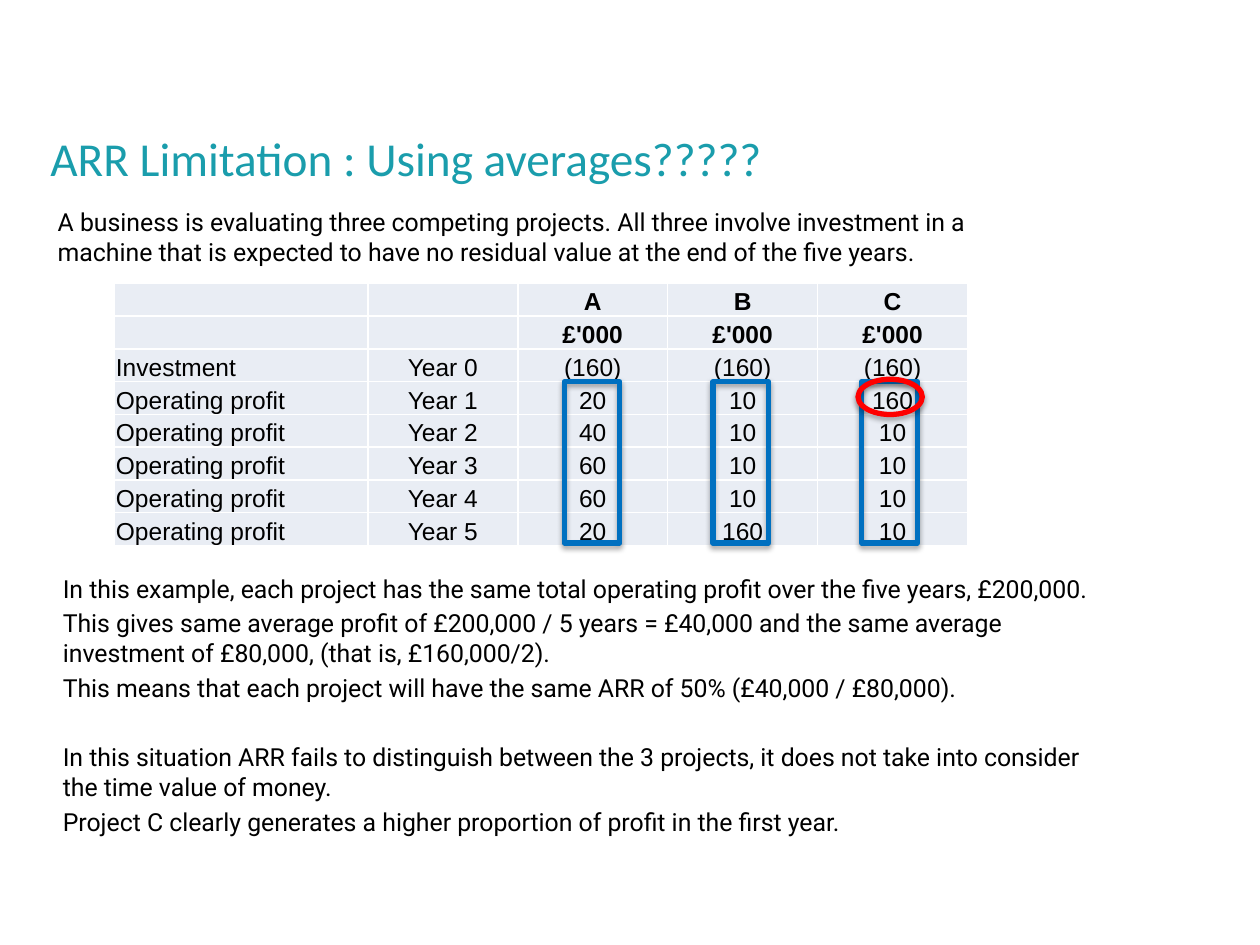
from dataclasses import dataclass

from lxml.etree import SubElement
from pptx import Presentation
from pptx.dml.color import RGBColor
from pptx.enum.shapes import MSO_SHAPE
from pptx.enum.text import MSO_ANCHOR, PP_ALIGN
from pptx.oxml.ns import qn
from pptx.slide import Slide
from pptx.util import Inches, Pt

COLORS = {
    "title": "1A9DAC",
    "text": "000000",
    "cell": "E9EDF4",
    "border": "FFFFFF",
    "frame": "0070C0",
    "highlight": "FF0000",
}

TABLE_LEFT, TABLE_TOP = 0.91, 2.25
LABEL_WIDTH, COLUMN_WIDTH, ROW_HEIGHT = 2.01, 1.19, 0.26
HEADER_ROWS = 2
PROFIT_ROW = 3
FRAME_LEFT, FRAME_PITCH = 4.48, 1.18
FRAME_WIDTH, FRAME_HEIGHT = 0.44, 1.28

PROFITS = [(20, 10, 160), (40, 10, 10), (60, 10, 10), (60, 10, 10), (20, 160, 10)]
TABLE_ROWS = [
    ("", "", "A", "B", "C"),
    ("", "", "£'000", "£'000", "£'000"),
    ("Investment", "Year 0", "(160)", "(160)", "(160)"),
    *(("Operating profit", f"Year {year}", *map(str, values))
      for year, values in enumerate(PROFITS, start=1)),
]


@dataclass(frozen=True)
class Box:
    left: float
    top: float
    width: float
    height: float

    def lengths(self) -> tuple:
        return tuple(Inches(n) for n in (self.left, self.top, self.width, self.height))


@dataclass(frozen=True)
class Line:
    text: str
    space_before: float = 0


INTRODUCTION = [
    Line("A business is evaluating three competing projects. All three involve investment in a "
         "machine that is expected to have no residual value at the end of the five years."),
]
EXPLANATION = [
    Line("In this example, each project has the same total operating profit over the five years, "
         "£200,000."),
    Line("This gives same average profit of £200,000 / 5 years = £40,000 and the same average "
         "investment of £80,000, (that is, £160,000/2).", 2.8),
    Line("This means that each project will have the same ARR of 50% (£40,000 / £80,000).", 2.8),
    Line("In this situation ARR fails to distinguish between the 3 projects, it does not take "
         "into consider the time value of money.", 22.8),
    Line("Project C clearly generates a higher proportion of profit in the first year.", 2.8),
]


def color(name: str) -> RGBColor:
    return RGBColor.from_string(COLORS[name])


def format_runs(paragraph, font_name: str, size: float, color_name: str, bold=False) -> None:
    for run in paragraph.runs:
        run.font.name = font_name
        run.font.size = Pt(size)
        run.font.bold = bold
        run.font.color.rgb = color(color_name)


def set_title(slide: Slide, text: str, box: Box) -> None:
    title = slide.shapes.title
    title.left, title.top, title.width, title.height = box.lengths()
    frame = title.text_frame
    frame.text = text
    frame.vertical_anchor = MSO_ANCHOR.TOP
    frame.margin_left = frame.margin_right = frame.margin_top = frame.margin_bottom = 0
    paragraph = frame.paragraphs[0]
    paragraph.alignment = PP_ALIGN.LEFT
    paragraph.line_spacing = Pt(37.7)
    format_runs(paragraph, "Calibri", 27, "title")


def add_text(slide: Slide, lines: list[Line], box: Box) -> None:
    frame = slide.shapes.add_textbox(*box.lengths()).text_frame
    frame.word_wrap = True
    frame.text = "\n".join(line.text for line in lines)
    for paragraph, line in zip(frame.paragraphs, lines):
        paragraph.space_before = Pt(line.space_before)
        format_runs(paragraph, "Roboto", 14.2, "text")


def add_borders(cell) -> None:
    properties = cell._tc.get_or_add_tcPr()
    for side in ("lnL", "lnR", "lnT", "lnB"):
        line = SubElement(properties, qn(f"a:{side}"), w=str(Pt(1)))
        fill = SubElement(line, qn("a:solidFill"))
        SubElement(fill, qn("a:srgbClr"), val=COLORS["border"])


def format_cell(cell, text: str, centered: bool, bold: bool) -> None:
    add_borders(cell)
    cell.fill.solid()
    cell.fill.fore_color.rgb = color("cell")
    cell.vertical_anchor = MSO_ANCHOR.BOTTOM
    cell.margin_left = cell.margin_right = cell.margin_top = Inches(0.01)
    cell.margin_bottom = 0
    paragraph = cell.text_frame.paragraphs[0]
    paragraph.alignment = PP_ALIGN.CENTER if centered else PP_ALIGN.LEFT
    if text:
        paragraph.text = text
        format_runs(paragraph, "Arial", 14, "text", bold)
    else:
        SubElement(paragraph._p, qn("a:endParaRPr"), sz="1400")


def add_profit_table(slide: Slide) -> None:
    row_count, column_count = len(TABLE_ROWS), len(TABLE_ROWS[0])
    box = Box(TABLE_LEFT, TABLE_TOP, LABEL_WIDTH + COLUMN_WIDTH * (column_count - 1),
              ROW_HEIGHT * row_count)
    table = slide.shapes.add_table(row_count, column_count, *box.lengths()).table
    table.first_row = table.horz_banding = False
    for index, column in enumerate(table.columns):
        column.width = Inches(COLUMN_WIDTH if index else LABEL_WIDTH)
    for row_index, texts in enumerate(TABLE_ROWS):
        table.rows[row_index].height = Inches(ROW_HEIGHT)
        for column_index, text in enumerate(texts):
            format_cell(table.cell(row_index, column_index), text,
                        centered=column_index > 0, bold=row_index < HEADER_ROWS)


def add_outline(slide: Slide, kind: MSO_SHAPE, box: Box, color_name: str) -> None:
    """Draw an unfilled shape that keeps the soft shadow of the theme."""
    shape = slide.shapes.add_shape(kind, *box.lengths())
    shape.fill.background()
    shape.line.color.rgb = color(color_name)
    shape.line.width = Pt(3)


def main() -> None:
    presentation = Presentation()
    presentation.slide_width, presentation.slide_height = Inches(10), Inches(7.5)
    slide = presentation.slides.add_slide(presentation.slide_layouts.get_by_name("Title Only"))

    set_title(slide, "ARR Limitation : Using averages?????", Box(0.4, 0.95, 7.29, 0.56))
    add_text(slide, INTRODUCTION, Box(0.36, 1.59, 7.92, 0.64))
    add_text(slide, EXPLANATION, Box(0.4, 4.5, 8.52, 2.13))
    add_profit_table(slide)

    frame_top = TABLE_TOP + PROFIT_ROW * ROW_HEIGHT
    for project in range(3):
        box = Box(FRAME_LEFT + project * FRAME_PITCH, frame_top, FRAME_WIDTH, FRAME_HEIGHT)
        add_outline(slide, MSO_SHAPE.RECTANGLE, box, "frame")
    add_outline(slide, MSO_SHAPE.OVAL, Box(6.81, 3.01, 0.51, 0.28), "highlight")

    presentation.save("out.pptx")


if __name__ == "__main__":
    main()
